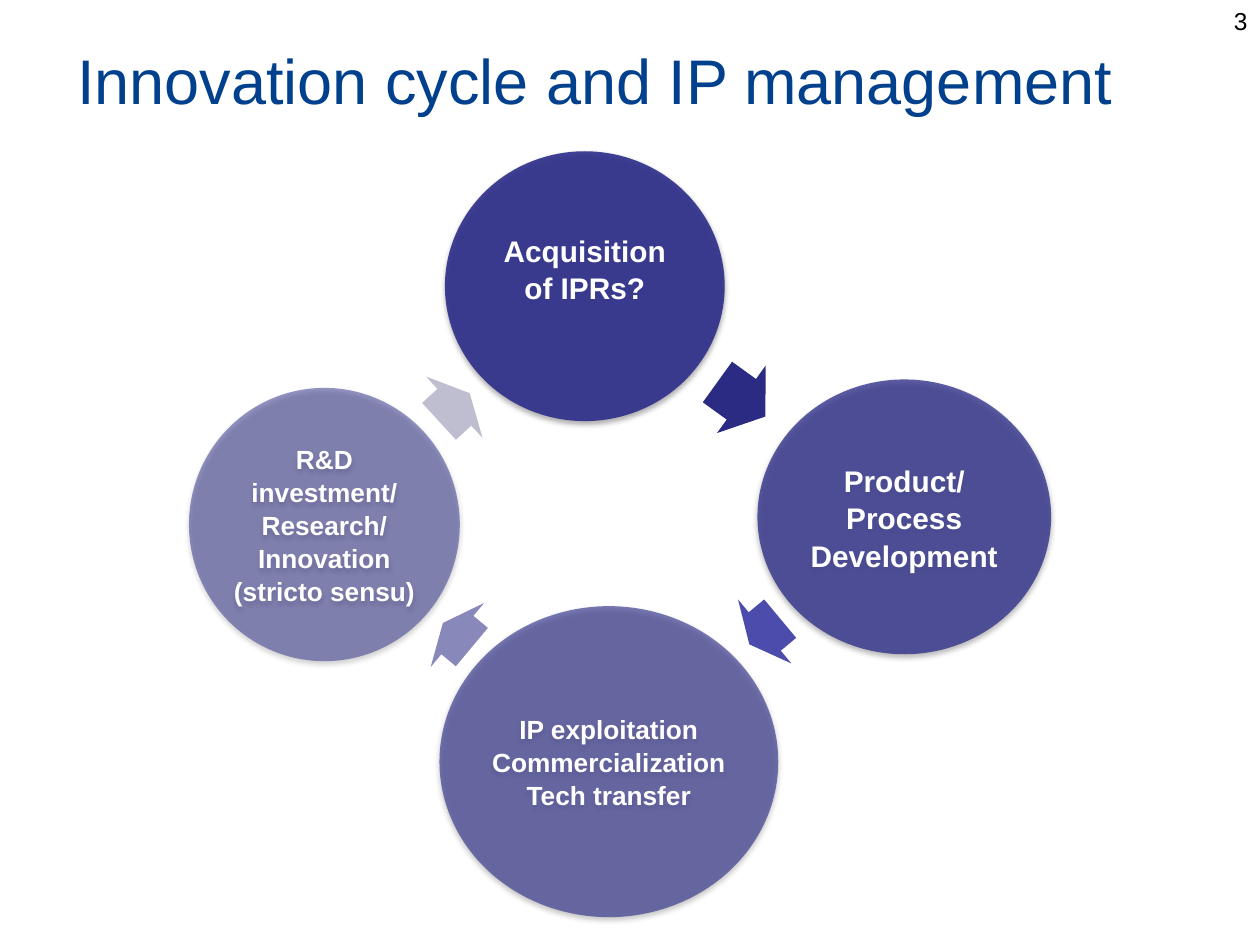
from lxml import etree
from pptx import Presentation
from pptx.dml.color import RGBColor
from pptx.enum.shapes import MSO_SHAPE
from pptx.enum.text import MSO_ANCHOR, PP_ALIGN
from pptx.oxml import parse_xml
from pptx.oxml.ns import nsdecls, qn
from pptx.util import Cm, Pt

OVAL, ARROW = MSO_SHAPE.OVAL, MSO_SHAPE.RIGHT_ARROW
MIDDLE = MSO_ANCHOR.MIDDLE
LEFT, CENTER, RIGHT = PP_ALIGN.LEFT, PP_ALIGN.CENTER, PP_ALIGN.RIGHT

BLUE = RGBColor(0x00, 0x40, 0x8C)
NAVY = RGBColor(0x2D, 0x2D, 0x8A)
WHITE = RGBColor(0xFF, 0xFF, 0xFF)
BLACK = RGBColor(0x00, 0x00, 0x00)

TITLE = "Innovation cycle and IP management"
PAGE = "3"

# Lines, text size, opacity in %, (left, top, width, height) in cm, text lift in cm
STAGES = [
    (["Acquisition of IPRs?"], 17, 90, (8.97, 3.05, 5.64, 5.44), 0.72),
    (["Product/", "Process Development"], 17, 77, (15.27, 7.65, 5.92, 5.54), 0),
    (["IP exploitation", "Commercialization", "Tech transfer"], 15, 63,
     (8.86, 12.22, 6.83, 6.27), 0),
    (["R&D investment/", "Research/", "Innovation", "(stricto sensu)"], 15, 50,
     (3.81, 7.82, 5.46, 5.51), 0),
]

# (left, top, width) in cm, turn in degrees, colour
ARROWS = [
    ((14.35, 7.21, 1.19), 35.8, RGBColor(0x2B, 0x2B, 0x84)),
    ((15.01, 11.89, 0.81), 140.2, RGBColor(0x4C, 0x4C, 0xAD)),
    ((8.84, 11.96, 0.76), 219.8, RGBColor(0x88, 0x88, 0xBB)),
    ((8.74, 7.37, 0.84), 317.4, RGBColor(0xBE, 0xBE, 0xD0)),
]
ARROW_H = 1.68
INSET = 0.05

SHADOW = (
    f'<a:effectLst {nsdecls("a")}>'
    '<a:outerShdw blurRad="40000" dist="23000" dir="5400000" rotWithShape="0">'
    '<a:srgbClr val="000000"><a:alpha val="35000"/></a:srgbClr>'
    '</a:outerShdw></a:effectLst>'
)


def write(frame, lines, size, color, align, bold=False):
    frame.word_wrap = True
    frame.text = "\n".join(lines)
    for para in frame.paragraphs:
        para.alignment = align
        font = para.font
        font.name, font.size, font.bold = "Arial", Pt(size), bold
        font.color.rgb = color


def add_shape(slide, kind, box, color):
    shape = slide.shapes.add_shape(kind, *map(Cm, box))
    shape.shadow.inherit = False
    shape.fill.solid()
    shape.fill.fore_color.rgb = color
    shape.line.fill.background()
    return shape


def add_stage(slide, lines, size, alpha, box, lift):
    oval = add_shape(slide, OVAL, box, NAVY)
    props = oval.fill._xPr
    tint = props.find(qn("a:solidFill"))[0]
    etree.SubElement(tint, qn("a:alpha")).set("val", str(alpha * 1000))
    props.replace(props.find(qn("a:effectLst")), parse_xml(SHADOW))

    frame = oval.text_frame
    frame.margin_left = frame.margin_right = frame.margin_top = Cm(INSET)
    frame.margin_bottom = Cm(INSET + lift)
    frame.vertical_anchor = MIDDLE
    write(frame, lines, size, WHITE, CENTER, bold=True)
    for para in frame.paragraphs:
        para.line_spacing = 1.05


def add_arrow(slide, place, turn, color):
    arrow = add_shape(slide, ARROW, (*place, ARROW_H), color)
    arrow.rotation = turn
    arrow.adjustments[0] = 0.6
    arrow.adjustments[1] = 0.5


def main():
    deck = Presentation()
    deck.slide_width, deck.slide_height = Cm(25.4), Cm(19.05)
    slide = deck.slides.add_slide(deck.slide_layouts[5])

    title = slide.shapes.title
    title.left, title.top = Cm(1.3), Cm(0)
    title.width, title.height = Cm(22.86), Cm(3.18)
    title.text_frame.vertical_anchor = MIDDLE
    write(title.text_frame, [TITLE], 36, BLUE, LEFT)

    for stage, arrow in zip(STAGES, ARROWS):
        add_stage(slide, *stage)
        add_arrow(slide, *arrow)

    page = slide.shapes.add_textbox(Cm(19.48), Cm(0), Cm(5.92), Cm(1.32))
    write(page.text_frame, [PAGE], 14, BLACK, RIGHT)

    deck.save("out.pptx")


if __name__ == "__main__":
    main()
